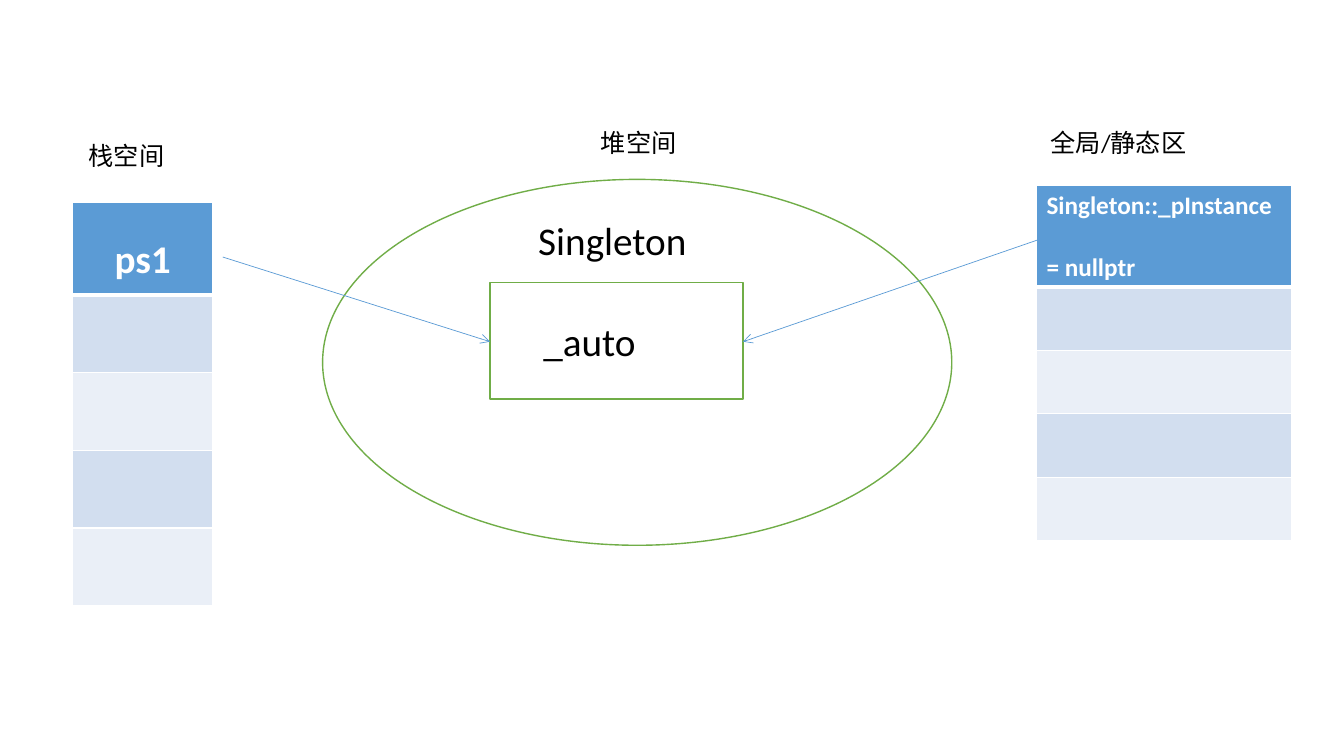
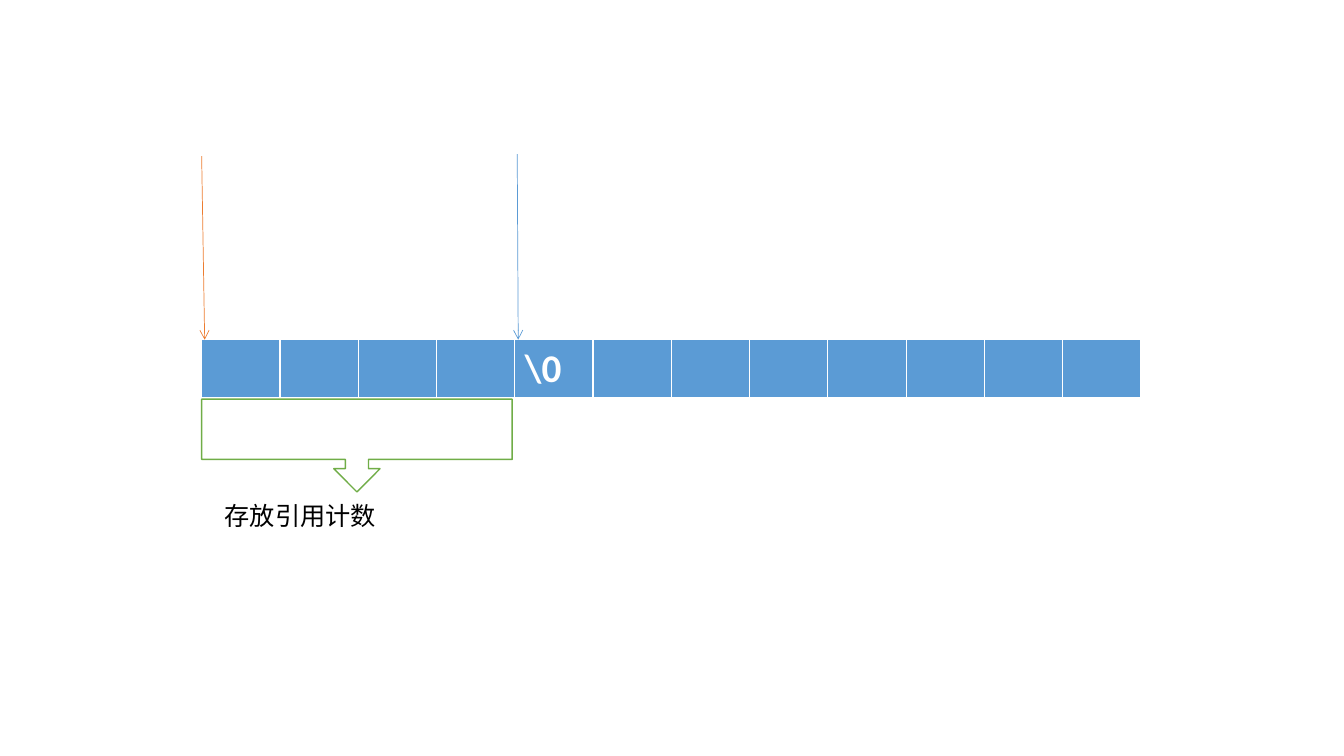
from dataclasses import dataclass

from lxml.etree import SubElement
from pptx import Presentation
from pptx.dml.color import RGBColor as RGB
from pptx.enum.shapes import MSO_CONNECTOR as Connector, MSO_SHAPE as Shape
from pptx.enum.text import MSO_ANCHOR as Anchor, MSO_AUTO_SIZE as AutoSize, PP_ALIGN as Align
from pptx.oxml.ns import qn
from pptx.util import Inches, Pt


@dataclass(frozen=True)
class Theme:
    font: str = "Calibri"
    label_size: int = 18
    code_size: int = 28
    black: str = "000000"
    white: str = "FFFFFF"
    blue: str = "5B9BD5"
    green: str = "70AD47"
    orange: str = "ED7D31"
    bands: tuple = ("D2DEEF", "EAEFF7")
    arrow_width: float = 0.5
    outline_width: float = 1
    header_rule: float = 3


class Deck:
    def __init__(self, theme):
        self.theme = theme
        self.presentation = Presentation()
        self.presentation.slide_width = Inches(13.33)
        self.presentation.slide_height = Inches(7.5)
        self.slide = None

    def new_slide(self):
        blank = self.presentation.slide_layouts[6]
        self.slide = self.presentation.slides.add_slide(blank)

    def set_text(self, frame, text, size, color, bold=False, align=Align.LEFT):
        frame.text = text
        for paragraph in frame.paragraphs:
            paragraph.alignment = align
            for run in paragraph.runs:
                font = run.font
                font.name, font.size, font.bold = self.theme.font, Pt(size), bold
                font.color.rgb = RGB.from_string(color)

    def label(self, text, left, top, width, height=0.4, size=None, inset=0.1):
        box = self.slide.shapes.add_textbox(
            Inches(left), Inches(top), Inches(width), Inches(height))
        frame = box.text_frame
        frame.word_wrap = True
        frame.auto_size = AutoSize.SHAPE_TO_FIT_TEXT
        frame.margin_left = Inches(inset)
        self.set_text(frame, text, size or self.theme.label_size, self.theme.black)

    def outline(self, kind, left, top, width, height, text="", inset=0.1):
        shape = self.slide.shapes.add_shape(
            kind, Inches(left), Inches(top), Inches(width), Inches(height))
        shape.shadow.inherit = False
        shape.fill.solid()
        shape.fill.fore_color.rgb = RGB.from_string(self.theme.white)
        shape.line.color.rgb = RGB.from_string(self.theme.green)
        shape.line.width = Pt(self.theme.outline_width)
        if text:
            shape.text_frame.vertical_anchor = Anchor.MIDDLE
            shape.text_frame.margin_left = Inches(inset)
            self.set_text(shape.text_frame, text, self.theme.code_size, self.theme.black)

    def arrow(self, start, end, color):
        connector = self.slide.shapes.add_connector(
            Connector.STRAIGHT, *(Inches(value) for value in start + end))
        connector.line.color.rgb = RGB.from_string(color)
        connector.line.width = Pt(self.theme.arrow_width)
        properties = connector._element.spPr
        SubElement(properties.find(qn("a:ln")), qn("a:tailEnd"), type="arrow")
        SubElement(properties, qn("a:effectLst"))

    def paint(self, cell, color, bottom_rule):
        properties = cell._tc.get_or_add_tcPr()
        for side in "LRTB":
            width = bottom_rule if side == "B" else self.theme.outline_width
            border = SubElement(properties, qn(f"a:ln{side}"), w=str(int(Pt(width))))
            fill = SubElement(border, qn("a:solidFill"))
            SubElement(fill, qn("a:srgbClr"), val=self.theme.white)
        cell.fill.solid()
        cell.fill.fore_color.rgb = RGB.from_string(color)

    def memory(self, left, top, column_widths, row_heights):
        """Table with a blue first row and banded rows below it."""
        table = self.slide.shapes.add_table(
            len(row_heights), len(column_widths), Inches(left), Inches(top),
            Inches(sum(column_widths)), Inches(sum(row_heights))).table
        for column, width in zip(table.columns, column_widths):
            column.width = Inches(width)
        for index, (row, height) in enumerate(zip(table.rows, row_heights)):
            row.height = Inches(height)
            for cell in row.cells:
                if index == 0:
                    self.paint(cell, self.theme.blue, self.theme.header_rule)
                else:
                    self.paint(cell, self.theme.bands[(index - 1) % 2],
                               self.theme.outline_width)
        return table

    def header(self, cell, text, size, align=Align.LEFT):
        self.set_text(cell.text_frame, text, size, self.theme.white, True, align)
        return cell.text_frame.paragraphs


theme = Theme()
deck = Deck(theme)

# Slide 1: singleton across stack, heap and static memory
deck.new_slide()

# Stack
stack = deck.memory(0.72, 2.01, [1.39], [0.92] + [0.77] * 4)
pointer = deck.header(stack.cell(0, 0), "ps1", theme.code_size, Align.CENTER)
pointer[0].line_spacing = 1.6
deck.label("栈空间", 0.68, 1.34, 1.72, inset=0.2)

# Heap
deck.outline(Shape.OVAL, 3.2, 1.78, 6.24, 3.63)
deck.label("堆空间", 4.86, 1.21, 2.92, inset=1.1)

# Global and static area
static_area = deck.memory(10.28, 1.84, [2.53], [1.0] + [0.63] * 4)
instance = deck.header(static_area.cell(0, 0), "Singleton::_pInstance\n= nullptr",
                       theme.label_size)
instance[1].space_before = Pt(22)
deck.label("全局/静态区", 9.93, 1.21, 3.01, inset=0.49)

# Singleton object and the pointers to it
deck.outline(Shape.RECTANGLE, 4.86, 2.8, 2.51, 1.16, "_auto", inset=0.53)
deck.label("Singleton", 5.24, 2.1, 1.9, 0.57, theme.code_size)
deck.arrow((2.21, 2.55), (4.86, 3.39), theme.blue)
deck.arrow((10.38, 2.35), (7.37, 3.39), theme.blue)

# Slide 2: string buffer with a reference count in front
deck.new_slide()
buffer = deck.memory(2, 3.37, [9.32 / 12] * 12, [0.59])
deck.header(buffer.cell(0, 4), "\\0", theme.code_size)

# Reference count
deck.outline(Shape.DOWN_ARROW_CALLOUT, 2, 3.96, 3.08, 0.92)
deck.label("存放引用计数", 2.13, 4.91, 3.41)

# Start of the text and start of the buffer
deck.arrow((5.13, 1.53), (5.14, 3.37), theme.blue)
deck.arrow((2, 1.55), (2.03, 3.37), theme.orange)

deck.presentation.save("out.pptx")
